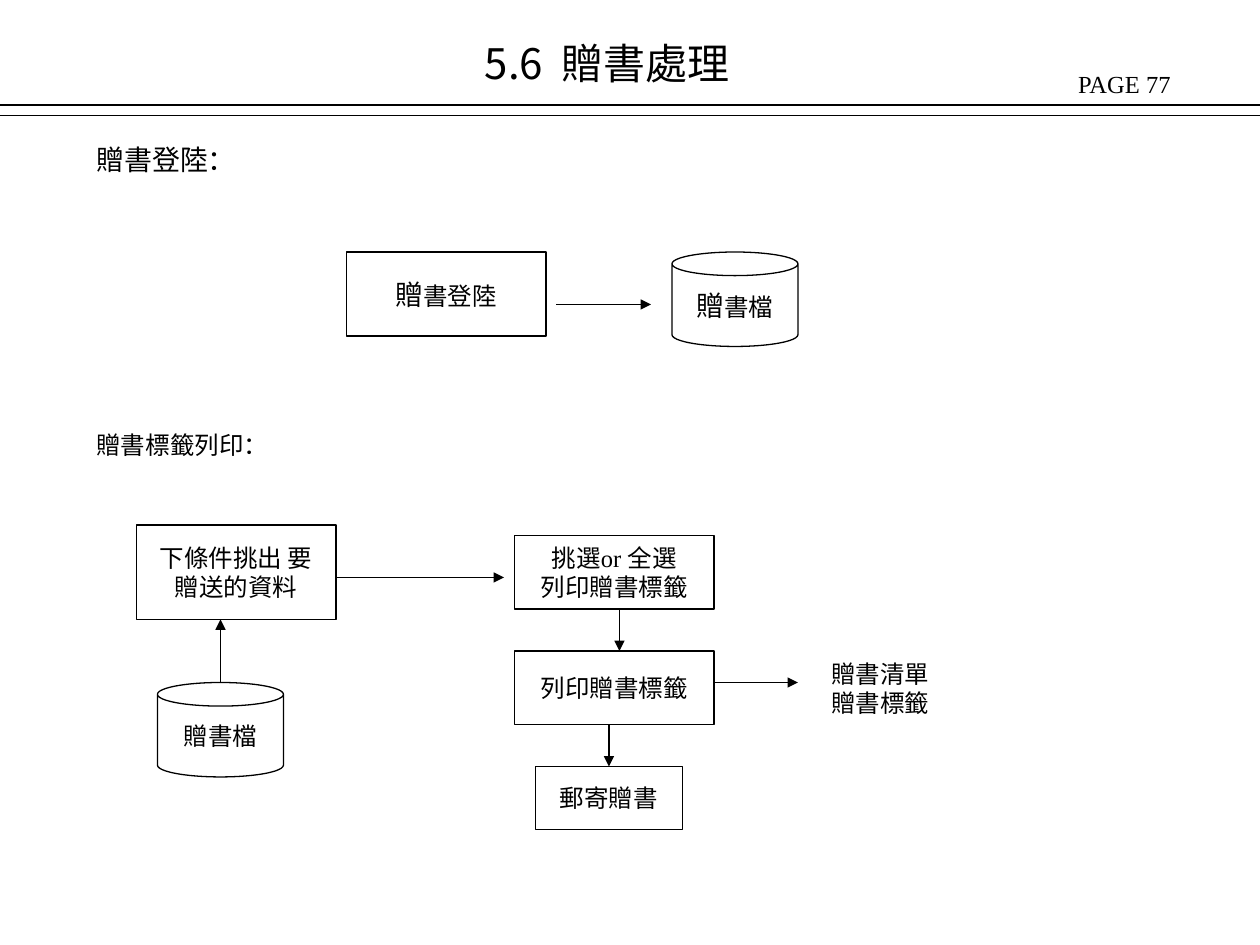
from lxml import etree
from pptx import Presentation
from pptx.dml.color import RGBColor
from pptx.enum import shapes, text
from pptx.oxml import ns
from pptx.util import Pt

BLACK = RGBColor(0, 0, 0)
SANS = "Noto Sans CJK TC"
SERIF = "Times New Roman"
RECTANGLE = shapes.MSO_SHAPE.RECTANGLE
CAN = shapes.MSO_SHAPE.CAN
BOX_WIDTH = 114
STEP_HEIGHT = 42


def format_run(run, size, font):
    run.font.size = Pt(size)
    run.font.name = font
    run.font.color.rgb = BLACK
    east_asian = etree.SubElement(run._r.get_or_add_rPr(), ns.qn("a:ea"))
    east_asian.set("typeface", SANS)


def write_text(text_frame, paragraphs, align):
    """Fill the frame; each paragraph is a string or a list of (text, size, font)."""
    for index, content in enumerate(paragraphs):
        paragraph = text_frame.paragraphs[0] if index == 0 else text_frame.add_paragraph()
        paragraph.alignment = align
        if isinstance(content, str):
            content = [(content, 14, SERIF)]
        for words, size, font in content:
            run = paragraph.add_run()
            run.text = words
            format_run(run, size, font)


def add_label(slide, left, top, width, height, *paragraphs, wrap=False):
    box = slide.shapes.add_textbox(Pt(left), Pt(top), Pt(width), Pt(height))
    box.text_frame.word_wrap = wrap
    box.text_frame.auto_size = text.MSO_AUTO_SIZE.SHAPE_TO_FIT_TEXT
    write_text(box.text_frame, paragraphs, text.PP_ALIGN.LEFT)


def add_node(slide, kind, left, top, width, height, *paragraphs):
    """Add an outlined process box or data store with centred text."""
    shape = slide.shapes.add_shape(kind, Pt(left), Pt(top), Pt(width), Pt(height))
    shape.shadow.inherit = False
    shape.fill.background()
    shape.line.color.rgb = BLACK
    shape.line.width = Pt(0.75)
    shape.text_frame.word_wrap = False
    shape.text_frame.vertical_anchor = text.MSO_ANCHOR.MIDDLE
    write_text(shape.text_frame, paragraphs, text.PP_ALIGN.CENTER)
    return shape


def add_line(slide, x1, y1, x2, y2):
    line = slide.shapes.add_connector(
        shapes.MSO_CONNECTOR.STRAIGHT, Pt(x1), Pt(y1), Pt(x2), Pt(y2))
    line.line.color.rgb = BLACK
    line.line.width = Pt(0.75)
    etree.SubElement(line._element.spPr, ns.qn("a:effectLst"))
    return line


def add_arrow(slide, x1, y1, x2, y2):
    arrow = add_line(slide, x1, y1, x2, y2)
    tail = etree.SubElement(arrow.line._get_or_add_ln(), ns.qn("a:tailEnd"))
    tail.set("type", "triangle")
    return arrow


def add_header(slide):
    add_label(slide, 609, 36, 113, 24.5, "PAGE 77")
    add_label(slide, 270, 18, 240, 36, [("5.6  贈書處理", 24, SANS)], wrap=True)
    for y in (60, 66):
        add_line(slide, 0, y, 720, y)


def add_registration(slide):
    add_label(slide, 48, 78, 94.5, 26.5, [("贈書登陸：", 16, SANS)])
    add_node(slide, RECTANGLE, 198, 144, BOX_WIDTH, 48,
             [("贈", 16, SANS), ("書登陸", 14, SANS)])
    add_node(slide, CAN, 384, 144, 72, 54,
             [("贈", 16, SANS), ("書檔", 14, SERIF)])
    add_arrow(slide, 318, 174, 372, 174)


def add_label_printing(slide):
    add_label(slide, 48, 242, 112.5, 24.5,
              [("贈書", 14, SANS), ("標籤列印", 14, SERIF), ("：", 14, SANS)])
    add_node(slide, RECTANGLE, 78, 300, BOX_WIDTH, 54, "下條件挑出 要", "贈送的資料")
    add_node(slide, CAN, 90, 390, 72, 54, "贈書檔")
    add_node(slide, RECTANGLE, 294, 306, BOX_WIDTH, STEP_HEIGHT,
             "挑選or 全選", "列印贈書標籤")
    add_node(slide, RECTANGLE, 294, 372, BOX_WIDTH, STEP_HEIGHT, "列印贈書標籤")
    mailing = add_node(slide, RECTANGLE, 306, 438, 84, 36, "郵寄贈書")
    add_label(slide, 468, 373, 70.5, 41, "贈書清單", "贈書標籤")

    add_arrow(slide, 126, 390, 126, 354)
    add_arrow(slide, 192, 330, 288, 330)
    add_arrow(slide, 354, 348, 354, 372)
    add_arrow(slide, 408, 390, 456, 390)
    add_arrow(slide, 348, 414, 348, 438).end_connect(mailing, 0)


def main():
    presentation = Presentation()
    presentation.slide_width = Pt(720)
    presentation.slide_height = Pt(540)
    slide = presentation.slides.add_slide(presentation.slide_layouts[6])
    add_header(slide)
    add_registration(slide)
    add_label_printing(slide)
    presentation.save("out.pptx")


if __name__ == "__main__":
    main()
